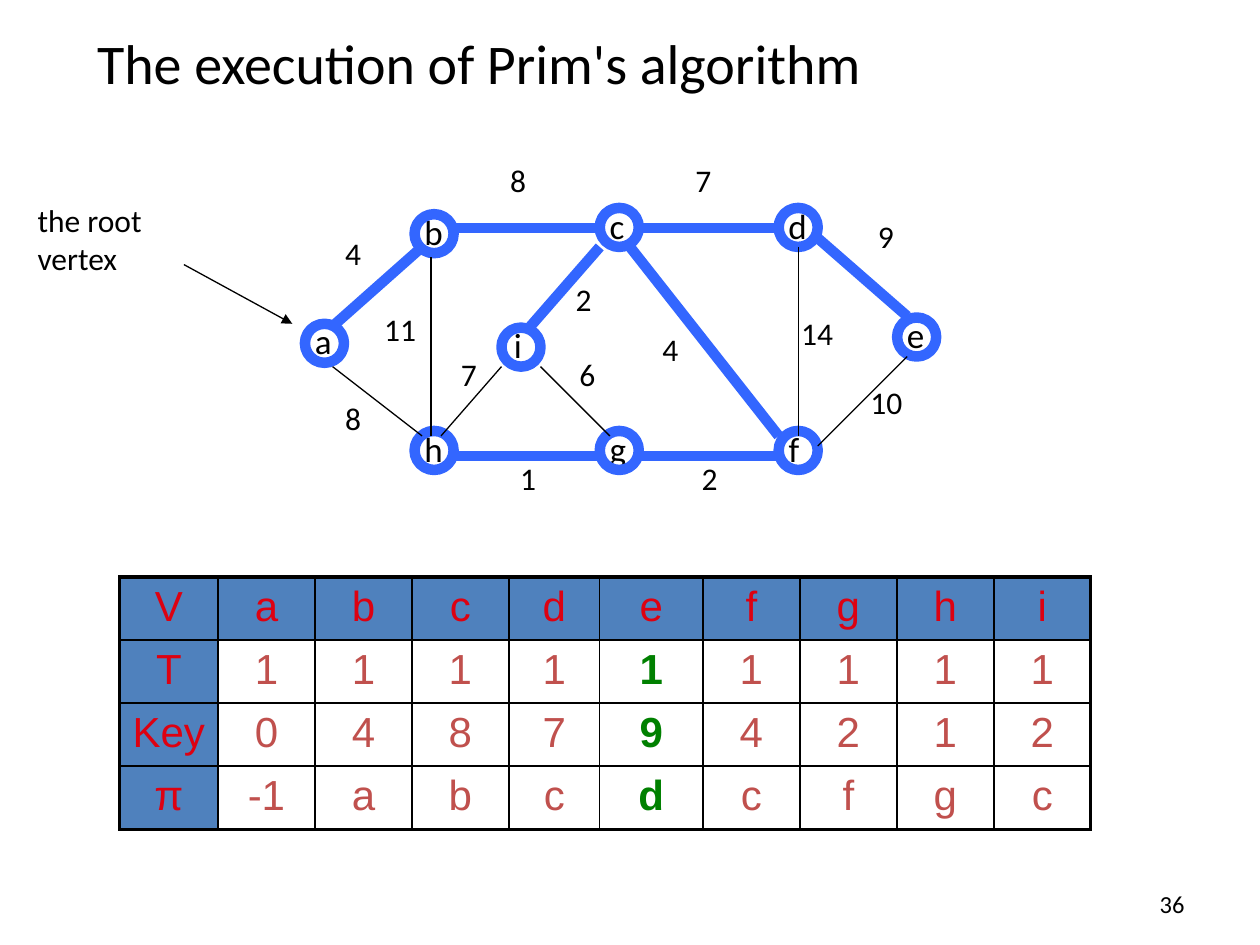
"""Build the slide on the execution of Prim's algorithm."""
from dataclasses import dataclass

from lxml.etree import SubElement
from pptx import Presentation
from pptx.dml.color import RGBColor
from pptx.enum.shapes import MSO_CONNECTOR, MSO_SHAPE
from pptx.enum.text import MSO_ANCHOR, PP_ALIGN
from pptx.oxml import parse_xml
from pptx.oxml.ns import nsdecls, qn
from pptx.util import Inches, Pt


@dataclass(frozen=True)
class Theme:
    """Colours, fonts and sizes of the slide."""
    ink: str = "000000"
    tree: str = "3366FF"
    head: str = "4F81BD"
    label: str = "DD0111"
    value: str = "C0504D"
    mark: str = "008000"
    font: str = "Calibri"
    grid: str = "Arial"
    title: int = 32
    cell: int = 24
    node: int = 20
    text: int = 18
    page: int = 14
    thin: float = 0.75
    thick: float = 6
    inner: float = 1
    outer: float = 2.25


class Board:
    """Hold the theme and the current slide."""

    def __init__(self, theme, slide):
        """Keep the theme and the slide."""
        self.theme, self.slide = theme, slide

    def style(self, para, size, color=None, align=PP_ALIGN.LEFT, **extra):
        """Format one paragraph."""
        para.alignment = align
        look = {"name": self.theme.font, "size": Pt(size), "bold": False, **extra}
        for key, val in look.items():
            setattr(para.font, key, val)
        para.font.color.rgb = RGBColor.from_string(color or self.theme.ink)

    def title(self, text, *place):
        """Fill and move the title placeholder."""
        shape = self.slide.shapes.title
        for key, val in zip(("left", "top", "width", "height"), place):
            setattr(shape, key, Inches(val))
        shape.text_frame.text = text
        self.style(shape.text_frame.paragraphs[0], self.theme.title)

    def text(self, text, place, size, align=PP_ALIGN.LEFT, anchor=MSO_ANCHOR.TOP):
        """Add a text box."""
        frame = self.slide.shapes.add_textbox(*map(Inches, place)).text_frame
        for key, val in {"text": text, "word_wrap": True, "vertical_anchor": anchor}.items():
            setattr(frame, key, val)
        self.style(frame.paragraphs[0], size, align=align)

    def node(self, name, x, y, width=0.36, shift=0.02):
        """Add a named ring."""
        self.text(name, (x - shift, y - 0.08, width, 0.43), self.theme.node)
        side = Inches(0.31)
        ring = self.slide.shapes.add_shape(MSO_SHAPE.OVAL, Inches(x), Inches(y), side, side)
        ring.shadow.inherit = False
        ring.fill.background()
        ring.line.color.rgb = RGBColor.from_string(self.theme.tree)
        ring.line.width = Pt(self.theme.thick)

    def line(self, ends, tree=False, arrow=False):
        """Add a straight line, thick and blue within the tree."""
        line = self.slide.shapes.add_connector(MSO_CONNECTOR.STRAIGHT, *map(Inches, ends))
        color = self.theme.tree if tree else self.theme.ink
        line.line.color.rgb = RGBColor.from_string(color)
        line.line.width = Pt(self.theme.thick if tree else self.theme.thin)
        if arrow:
            SubElement(line.line._get_or_add_ln(), qn("a:tailEnd"), type="triangle")
        SubElement(line._element.spPr, qn("a:effectLst"))

    def weight(self, text, x, y):
        """Add the weight of an edge."""
        self.text(text, (x, y, 0.2 + 0.14 * len(text), 0.4), self.theme.text)

    def border(self, cell, sides):
        """Draw the cell sides, given as tag and points."""
        props = cell._tc.get_or_add_tcPr()
        for spot, (tag, size) in enumerate(sides.items()):
            props.insert(spot, parse_xml(
                f'<a:{tag} {nsdecls("a")} w="{Pt(size)}"><a:solidFill>'
                f'<a:srgbClr val="{self.theme.ink}"/></a:solidFill></a:{tag}>'))

    def table(self, rows, place, widths, high, mark):
        """Add the table with one marked column."""
        theme, last = self.theme, (len(rows) - 1, len(widths) - 1)
        grid = self.slide.shapes.add_table(len(rows), len(widths), *map(Inches, place)).table
        grid.first_row = grid.horz_banding = False
        for col, width in zip(grid.columns, widths):
            col.width = Inches(width)
        for r, row in enumerate(rows):
            grid.rows[r].height = Inches(high)
            for c, text in enumerate(row):
                cell, head = grid.cell(r, c), r == 0 or c == 0
                cell.text = text
                bold = c == mark and not head
                color = theme.label if head else theme.mark if bold else theme.value
                self.style(cell.text_frame.paragraphs[0], theme.cell, color,
                           PP_ALIGN.CENTER, name=theme.grid, bold=bold)
                if head:
                    cell.fill.solid()
                    cell.fill.fore_color.rgb = RGBColor.from_string(theme.head)
                else:
                    cell.fill.background()
                edge = {"lnL": c == 0, "lnR": c == last[1], "lnT": r == 0, "lnB": r == last[0]}
                self.border(cell, {tag: theme.outer if out else theme.inner
                                   for tag, out in edge.items()})


NODES = [
    ("a", 2.42, 2.57), ("b", 3.29, 1.7), ("h", 3.29, 3.42),
    ("c", 4.76, 1.65, 0.34), ("d", 6.18, 1.65), ("e", 7.12, 2.52),
    ("f", 6.18, 3.42, 0.28), ("g", 4.76, 3.42), ("i", 3.98, 2.6, 0.28, 0),
]
TREE = [
    ((2.64, 2.59, 3.35, 1.96), "4", 2.64, 1.81),
    ((3.58, 1.81, 4.76, 1.81), "8", 3.95, 1.23),
    ((3.58, 3.62, 4.76, 3.62), "1", 4.03, 3.59),
    ((5.08, 3.62, 6.18, 3.62), "2", 5.47, 3.59),
    ((5, 1.96, 6.18, 3.46), "4", 5.16, 2.57),
    ((5.08, 1.81, 6.18, 1.81), "7", 5.42, 1.23),
    ((6.49, 1.89, 7.2, 2.51), "9", 6.87, 1.67),
    ((4.21, 2.59, 4.76, 1.96), "2", 4.47, 2.17),
]
REST = [
    ((2.64, 2.91, 3.35, 3.46), "8", 2.64, 3.12),
    ((3.42, 2.04, 3.42, 3.46), "11", 2.95, 2.41),
    ((6.34, 1.96, 6.34, 3.46), "14", 6.26, 2.44),
    ((6.49, 3.54, 7.2, 2.83), "10", 6.81, 2.99),
    ((4.29, 2.91, 4.84, 3.46), "6", 4.5, 2.77),
    ((3.5, 3.46, 3.98, 2.91), "7", 3.56, 2.77),
]
ROWS = [
    ["V", *"abcdefghi"],
    ["T", *"111111111"],
    ["Key", *"048794212"],
    ["π", "-1", *"abcdcfgc"],
]
WIDTHS = [0.78, 0.77, 0.77, 0.77, 0.72, 0.82, 0.77, 0.77, 0.77, 0.77]


def main():
    """Build and save the slide."""
    deck = Presentation()
    deck.slide_width, deck.slide_height = Inches(10), Inches(7.5)
    theme = Theme()
    board = Board(theme, deck.slides.add_slide(deck.slide_layouts[5]))
    board.text("36", (7.17, 7, 2.33, 0.35), theme.page, PP_ALIGN.RIGHT, MSO_ANCHOR.MIDDLE)
    board.title("The execution of Prim's algorithm", 0.67, 0.17, 8.58, 0.64)
    board.text("the root vertex", (0.2, 1.55, 1.34, 0.9), theme.text)
    board.line((1.46, 2.1, 2.32, 2.57), arrow=True)
    board.table(ROWS, (0.95, 4.58, 7.69, 2), WIDTHS, 0.5, ROWS[0].index("e"))
    for node in NODES:
        board.node(*node)
    for edges, tree in ((TREE, True), (REST, False)):
        for ends, *weight in edges:
            board.line(ends, tree)
            board.weight(*weight)
    deck.save("out.pptx")


if __name__ == "__main__":
    main()
